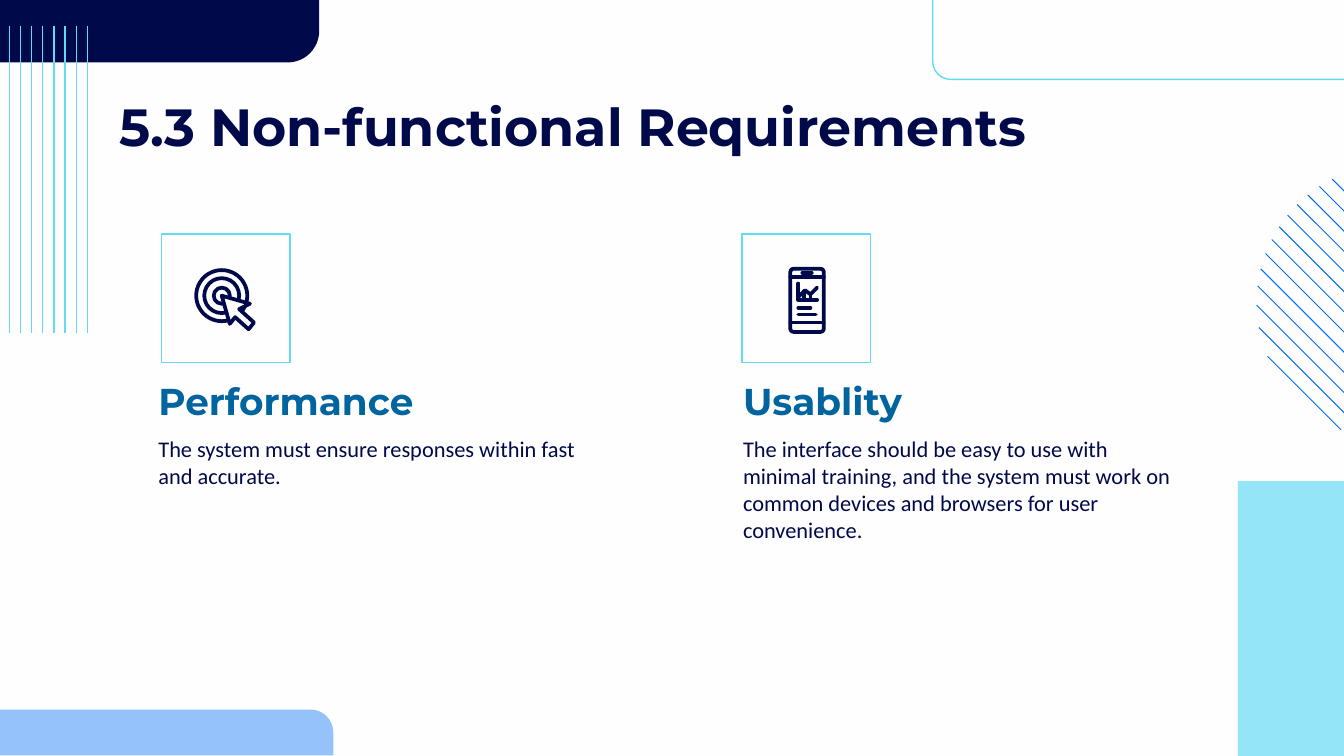
import math

import pptx
import pptx.dml.color
import pptx.enum.shapes
import pptx.enum.text
import pptx.oxml.ns
import pptx.util

Inches = pptx.util.Inches
Pt = pptx.util.Pt
qn = pptx.oxml.ns.qn
SHAPES = pptx.enum.shapes.MSO_SHAPE
ANCHOR = pptx.enum.text.MSO_ANCHOR

COLOURS = {"paper": "FEFEFE", "navy": "00094A", "cyan": "63DBF5",
           "blue": "006DF5", "heading": "00649F"}
TEXT_STYLES = {
    "title": {"name": "Montserrat", "size": Pt(28), "bold": True},
    "heading": {"name": "Montserrat", "size": Pt(20), "bold": True},
    "body": {"name": "Calibri", "size": Pt(12), "bold": False},
}
ICON_STROKE = 2


def colour(name):
    return pptx.dml.color.RGBColor.from_string(COLOURS[name])


class SlideBuilder:
    """Holds the style and the current slide."""

    def __init__(self, slide):
        self.slide = slide
        self.shapes = slide.shapes
        fill = slide.background.fill
        fill.solid()
        fill.fore_color.rgb = colour("paper")

    def stroke(self, item, name, width, round_cap=False):
        item.line.color.rgb = colour(name)
        item.line.width = Pt(width)
        if round_cap:
            ln = item._element.spPr.find(qn("a:ln"))
            ln.set("cap", "rnd")
            ln.append(ln.makeelement(qn("a:round"), {}))

    def paint(self, shape, fill=None, opacity=100, line=None, width=0.75, round_cap=False):
        shape.shadow.inherit = False
        if fill:
            shape.fill.solid()
            shape.fill.fore_color.rgb = colour(fill)
            if opacity < 100:
                rgb = next(shape._element.spPr.iter(qn("a:srgbClr")))
                rgb.append(rgb.makeelement(qn("a:alpha"), {"val": str(opacity * 1000)}))
        else:
            shape.fill.background()
        if line:
            self.stroke(shape, line, width, round_cap)
        else:
            shape.line.fill.background()

    def box(self, kind, frame, rotation=0, corner=None, **look):
        shape = self.shapes.add_shape(kind, *map(Inches, frame))
        shape.rotation = rotation
        if corner is not None:
            shape.adjustments[0] = corner
        self.paint(shape, **look)

    def line(self, start, end, name, width=0.75, round_cap=False):
        connector = self.shapes.add_connector(
            pptx.enum.shapes.MSO_CONNECTOR.STRAIGHT, *map(Inches, (*start, *end)))
        self.stroke(connector, name, width, round_cap)
        properties = connector._element.spPr
        properties.append(properties.makeelement(qn("a:effectLst"), {}))

    def outline(self, points, close, **look):
        corners = [(Inches(x), Inches(y)) for x, y in points]
        builder = self.shapes.build_freeform(*corners[0], scale=1.0)
        builder.add_line_segments(corners[1:], close=close)
        self.paint(builder.convert_to_shape(), **look)

    def text(self, words, frame, style, name, anchor=ANCHOR.TOP):
        text_frame = self.shapes.add_textbox(*map(Inches, frame)).text_frame
        margins = {f"margin_{side}": Inches(0.1) for side in ("left", "right", "top", "bottom")}
        for key, value in {"word_wrap": True, "vertical_anchor": anchor, **margins}.items():
            setattr(text_frame, key, value)
        run = text_frame.paragraphs[0].add_run()
        run.text = words
        for key, value in TEXT_STYLES[style].items():
            setattr(run.font, key, value)
        run.font.color.rgb = colour(name)


def draw_decoration(page):
    # Corner blocks
    page.box(SHAPES.RECTANGLE, (9.21, 3.58, 0.79, 2.05), fill="cyan", opacity=69)
    single = SHAPES.ROUND_1_RECTANGLE
    page.box(single, (0, 5.28, 2.48, 0.34), corner=0.5, fill="blue", opacity=41)
    page.box(single, (0.95, -0.96, 0.47, 2.38), rotation=90, corner=0.5, fill="navy")
    page.box(single, (6.94, -0.18, 3.21, 0.77), rotation=180, corner=0.17, line="cyan")

    # Vertical stripes
    for i in range(8):
        x = 0.07 + i * 0.58 / 7
        page.line((x, 0.19), (x, 2.48), "cyan")

    # Circle hatched with evenly spaced diagonal chords
    centre_x, centre_y, radius, shift = 10.38, 2.25, 1.03, 0.075
    for k in range(-3, 10):
        x, y = centre_x - k * shift, centre_y + k * shift
        half = math.sqrt(radius ** 2 / 2 - (k * shift) ** 2)
        page.line((x - half, y - half), (x + half, y + half), "blue", 0.5)


def draw_target_icon(page):
    ink = {"line": "navy", "width": ICON_STROKE}
    for radius in (0.19, 0.13, 0.06):
        page.box(SHAPES.OVAL, (1.65 - radius, 2.2 - radius, 2 * radius, 2 * radius), **ink)
    cursor = [(1.65, 2.2), (1.86, 2.26), (1.78, 2.3), (1.89, 2.4),
              (1.85, 2.45), (1.75, 2.36), (1.71, 2.41)]
    page.outline(cursor, True, fill="paper", round_cap=True, **ink)


def draw_phone_icon(page):
    ink = {"line": "navy", "width": ICON_STROKE}
    page.box(SHAPES.ROUNDED_RECTANGLE, (5.88, 2, 0.25, 0.47), corner=0.1, **ink)
    # Screen edges, speaker, text rows and chart bars
    for start, end in [((5.88, 2.06), (6.13, 2.06)), ((5.88, 2.4), (6.13, 2.4)),
                       ((5.97, 2.03), (6.04, 2.03)), ((5.94, 2.29), (6.03, 2.29)),
                       ((5.94, 2.34), (6.07, 2.34)), ((5.98, 2.17), (5.98, 2.23)),
                       ((6.03, 2.19), (6.03, 2.23))]:
        page.line(start, end, "navy", ICON_STROKE, round_cap=True)
    # Chart axes and trend
    for points in ([(5.94, 2.11), (5.94, 2.23), (6.08, 2.23)],
                   [(5.94, 2.21), (5.99, 2.16), (6.03, 2.19), (6.08, 2.14)]):
        page.outline(points, False, round_cap=True, **ink)


def main():
    deck = pptx.Presentation()
    deck.slide_width = Inches(10)
    deck.slide_height = deck.slide_width * 9 // 16
    page = SlideBuilder(deck.slides.add_slide(deck.slide_layouts[6]))

    draw_decoration(page)
    page.text("5.3 Non-functional Requirements", (0.79, 0.6, 8.42, 0.63), "title", "navy")

    # Requirement columns
    requirements = [
        (1.08, 1.2, "Performance",
         "The system must ensure responses within fast and accurate.", draw_target_icon),
        (5.43, 5.52, "Usablity",
         "The interface should be easy to use with minimal training, and the system must "
         "work on common devices and browsers for user convenience.", draw_phone_icon),
    ]
    for left, icon_left, heading, description, draw_icon in requirements:
        page.text(description, (left, 3.14, 3.49, 1.36), "body", "navy")
        page.text(heading, (left, 2.81, 3.49, 0.44), "heading", "heading", ANCHOR.BOTTOM)
        page.box(SHAPES.RECTANGLE, (icon_left, 1.74, 0.96, 0.96), line="cyan")
        draw_icon(page)

    deck.save("out.pptx")


if __name__ == "__main__":
    main()
